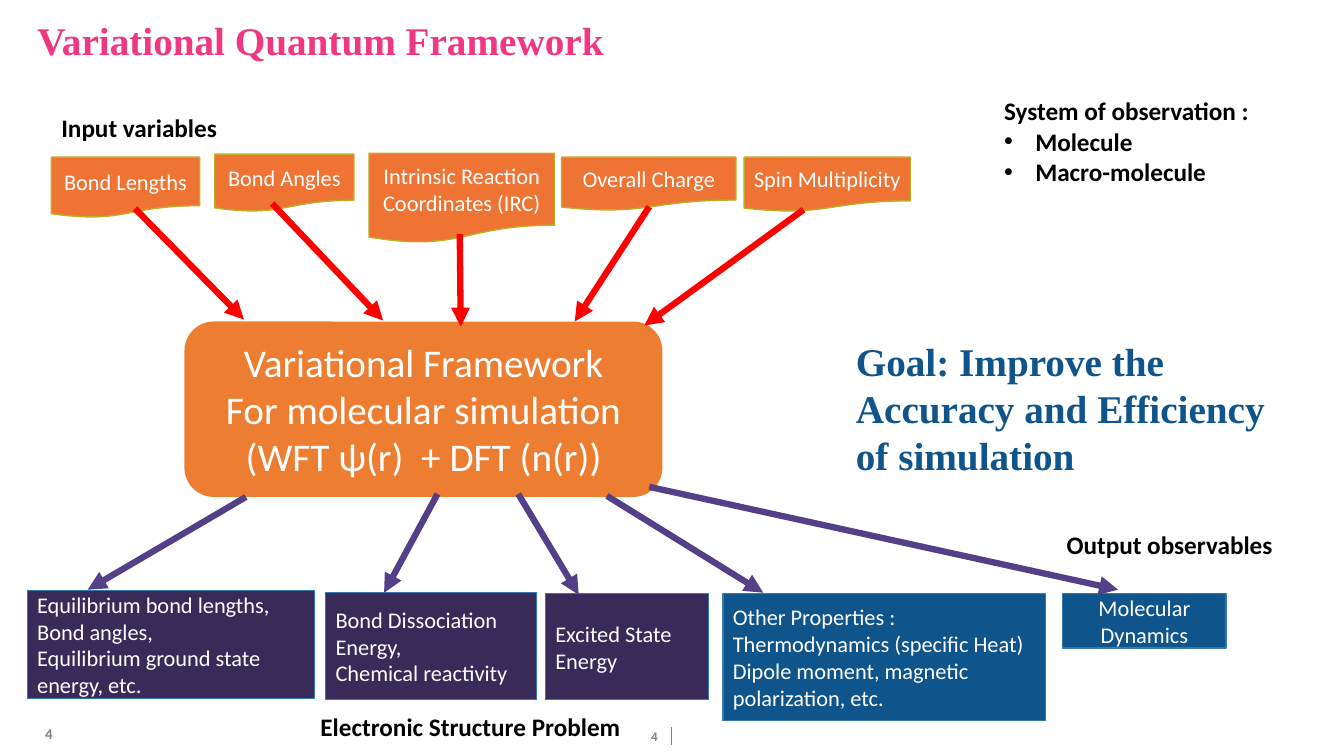
from dataclasses import dataclass

from pptx import Presentation
from pptx.dml.color import RGBColor as Rgb
from pptx.enum.shapes import MSO_CONNECTOR as Link, MSO_SHAPE as Form
from pptx.enum.text import MSO_ANCHOR as Anchor, PP_ALIGN as Align
from pptx.oxml.ns import qn
from pptx.util import Inches, Pt
from lxml.etree import SubElement as Sub

# Grid: 75 rows of square cells fill the height of the slide
WIDE, HIGH = Inches(13.33), Inches(7.5)
CELL = HIGH / 75


@dataclass(frozen=True)
class Theme:
    sans: str = "Calibri"
    serif: str = "Times New Roman"
    big: float = 28
    label: float = 18
    body: float = 16
    white: str = "FFFFFF"
    black: str = "000000"
    grey: str = "808080"
    rule: str = "808285"
    pink: str = "F03782"
    core: str = "ED7D31"
    card: str = "EF7333"
    olive: str = "BDAE26"
    red: str = "FF0000"
    plum: str = "382B5A"
    violet: str = "534088"
    blue: str = "0F548A"
    edge: str = "3579AE"


T = Theme()

# Input cards: text, box, arrow start, arrow end
INPUTS = [
    ("Bond Lengths", (5.1, 15.6, 14.7, 6), (13.4, 20.7), (24.2, 31.7)),
    ("Bond Angles", (21.3, 15.3, 13.8, 5.7), (27, 20.2), (38, 31.8)),
    ("Intrinsic Reaction Coordinates (IRC)", (36.6, 15.2, 18.4, 8.9),
     (45.6, 23.2), (45.7, 32.4)),
    ("Overall Charge", (55.7, 15.6, 17.3, 5.3), (64.4, 20.5), (57, 31.9)),
    ("Spin Multiplicity", (73.8, 15.6, 16.5, 5.4), (79.7, 20.8), (63.9, 32.3)),
]

# Output boxes: lines, box, fill, alignment, arrow start, arrow end
OUTPUTS = [
    (["Equilibrium bond lengths, Bond angles,",
      "Equilibrium ground state energy, etc."],
     (2.7, 58.6, 28.5, 10.7), T.plum, Align.LEFT, (24.4, 49.3), (8.7, 58.5)),
    (["Bond Dissociation Energy,", "Chemical reactivity"],
     (32.3, 58.8, 20.9, 10.6), T.plum, Align.LEFT, (43.4, 49), (38.1, 58.8)),
    (["Excited State Energy"],
     (54.1, 58.9, 16.2, 10.5), T.plum, Align.LEFT, (51.4, 49), (57.4, 59)),
    (["Other Properties :", "Thermodynamics (specific Heat)",
      "Dipole moment, magnetic polarization, etc."],
     (71.7, 58.9, 32, 12.6), T.blue, Align.LEFT, (60.2, 49.2), (75.7, 58.8)),
    (["Molecular Dynamics"],
     (105.4, 58.9, 16.2, 5.4), T.blue, Align.CENTER, (64.4, 48.3),
     (110.9, 58.5)),
]

# Bold headings: text, box
LABELS = [
    ("Input variables", (5.1, 10.7, 30, 4)),
    ("Output observables", (104.8, 52, 30, 4)),
    ("Electronic Structure Problem", (30.8, 70.1, 34, 4)),
]

# Page numbers: box, size
PAGES = [((62.7, 72.1, 4.4, 1.9), 9.3), ((0, 70.8, 9.7, 3.9), 10.7)]


def grid(*cells):
    return [round(n * CELL) for n in cells]


def put(item, **values):
    for name, value in values.items():
        setattr(item, name, value)


def write(shape, lines, size, color, font=T.sans, bold=False,
          align=Align.LEFT, anchor=Anchor.TOP):
    frame = shape.text_frame
    put(frame, word_wrap=True, vertical_anchor=anchor)
    for i, line in enumerate(lines):
        para = frame.add_paragraph() if i else frame.paragraphs[0]
        para.alignment = align
        run = para.add_run()
        run.text = line
        put(run.font, name=font, size=Pt(size), bold=bold)
        run.font.color.rgb = Rgb.from_string(color)
    return frame


def note(slide, box, lines, size, color, **style):
    return write(slide.shapes.add_textbox(*grid(*box)), lines, size, color,
                 **style)


def block(slide, form, box, lines, fill, edge=None, size=T.body,
          align=Align.CENTER):
    shape = slide.shapes.add_shape(form, *grid(*box))
    shape.shadow.inherit = False
    shape.fill.solid()
    shape.fill.fore_color.rgb = Rgb.from_string(fill)
    if edge:
        shape.line.color.rgb = Rgb.from_string(edge)
        shape.line.width = Pt(1)
    else:
        shape.line.fill.background()
    write(shape, lines, size, T.white, align=align, anchor=Anchor.MIDDLE)


def line(slide, start, end, color, width=4.5, arrow=True):
    link = slide.shapes.add_connector(Link.STRAIGHT, *grid(*start, *end))
    link.line.color.rgb = Rgb.from_string(color)
    link.line.width = Pt(width)
    if arrow:
        Sub(link.line._get_or_add_ln(), qn("a:tailEnd"), type="triangle")
    Sub(link._element.spPr, qn("a:effectLst"))


def bullet(para, indent):
    props = para._p.get_or_add_pPr()
    props.set("marL", str(indent))
    props.set("indent", str(-indent))
    Sub(props, qn("a:buFont"), typeface="Arial")
    Sub(props, qn("a:buChar"), char="•")


def head(slide, text):
    title = slide.shapes.title
    left, top, width, height = grid(2.7, 1.6, 67.7, 4.2)
    put(title, left=left, top=top, width=width, height=height)
    frame = write(title, [text], T.big, T.pink, font=T.serif, bold=True)
    frame.paragraphs[0].line_spacing = 0.9


def main():
    deck = Presentation()
    put(deck, slide_width=WIDE, slide_height=HIGH)
    slide = deck.slides.add_slide(deck.slide_layouts[5])
    head(slide, "Variational Quantum Framework")

    # Page numbers and footer rule
    line(slide, (66.6, 72.1), (66.6, 73.9), T.rule, 0.5, arrow=False)
    for box, size in PAGES:
        frame = note(slide, box, ["4"], size, T.grey, bold=True,
                     align=Align.CENTER, anchor=Anchor.MIDDLE)
        put(frame, margin_top=0, margin_bottom=0)

    # Central framework
    block(slide, Form.ROUNDED_RECTANGLE, (18.3, 31.9, 47.4, 17.4),
          ["Variational Framework",
           "For molecular simulation (WFT ψ(r)  + DFT (n(r))"],
          T.core, size=T.big)

    # Inputs above, outputs below
    for text, box, start, end in INPUTS:
        block(slide, Form.FLOWCHART_DOCUMENT, box, [text], T.card, T.olive)
        line(slide, start, end, T.red)
    for lines, box, fill, align, start, end in OUTPUTS:
        block(slide, Form.FLOWCHART_PROCESS, box, lines, fill, T.edge,
              align=align)
        line(slide, start, end, T.violet)

    # Headings, goal and observed systems
    for text, box in LABELS:
        note(slide, box, [text], T.label, T.black, bold=True)
    note(slide, (83.9, 33, 43.1, 15.1),
         ["Goal: Improve the Accuracy and Efficiency of simulation"],
         T.big, T.blue, font=T.serif, bold=True)
    frame = note(slide, (98.6, 9, 30, 10.1),
                 ["System of observation :", "Molecule", "Macro-molecule"],
                 T.label, T.black, bold=True)
    for para in frame.paragraphs[1:]:
        bullet(para, Inches(0.31))

    deck.save("out.pptx")


if __name__ == "__main__":
    main()
